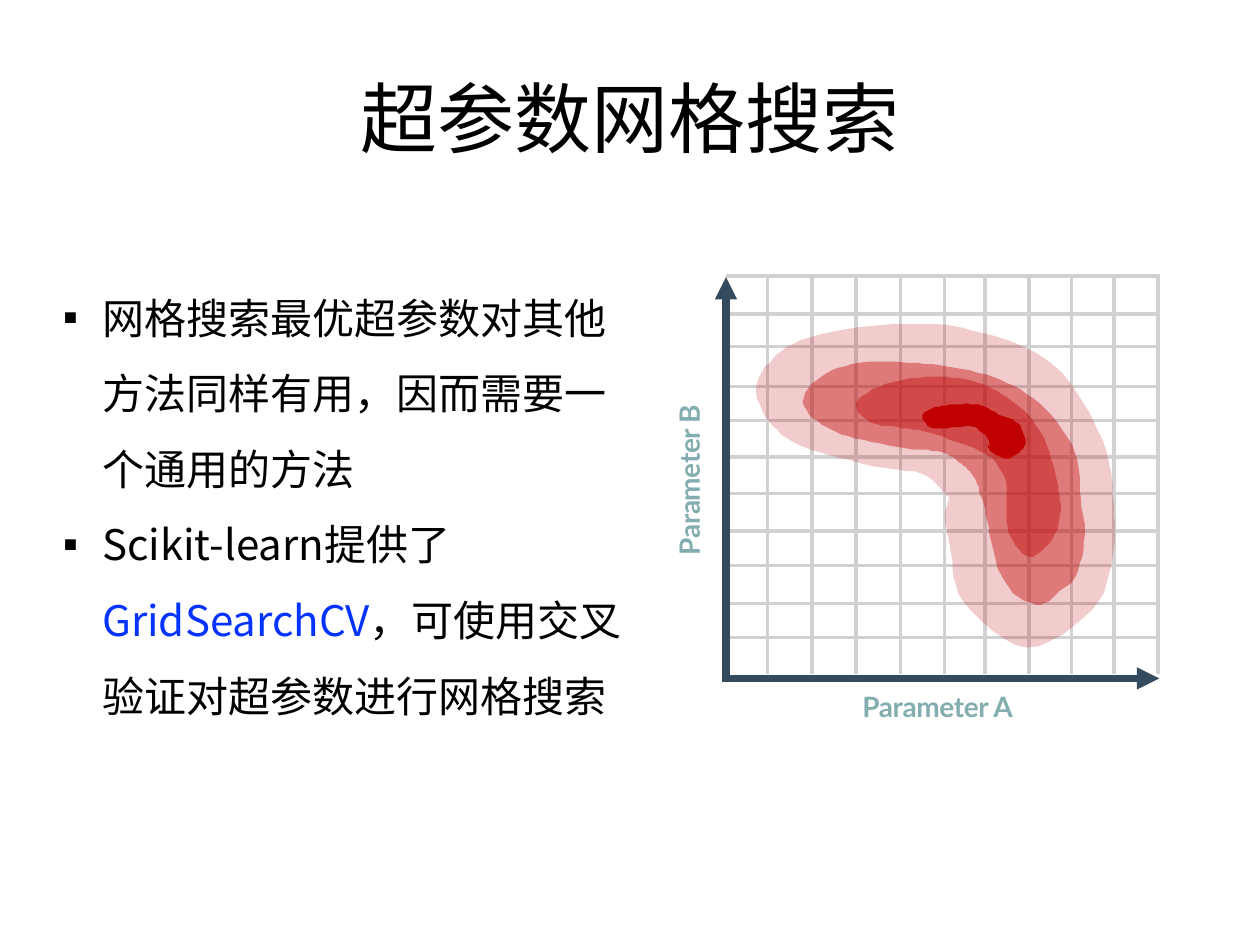
from math import hypot

from lxml.etree import SubElement
from pptx import Presentation
from pptx.dml.color import RGBColor
from pptx.enum.shapes import MSO_CONNECTOR
from pptx.enum.text import MSO_ANCHOR, PP_ALIGN
from pptx.oxml.ns import qn
from pptx.util import Pt

BLACK = RGBColor(0x00, 0x00, 0x00)
BLUE = RGBColor(0x04, 0x33, 0xFF)
TEAL = RGBColor(0x84, 0xAD, 0xAF)
NAVY = RGBColor(0x34, 0x4B, 0x5E)
GREY = RGBColor(0xD1, 0xD1, 0xD1)
RED = RGBColor(0xC0, 0x00, 0x00)

CJK = "Noto Sans CJK SC"
GRID_LEFT, GRID_TOP = 414.9, 157.7
X_AXIS_Y, X_AXIS_END = 387.7, 662.4
AXIS_WIDTH = 4.25
COL_WIDTHS = [23.8, 25.3, 25.3, 25.3, 25.3, 23, 25.3, 24.2, 24.2, 25.2]
ROW_HEIGHTS = [21.7, 18.7, 22.8, 19.5, 20.8, 20.8, 21.5, 19.7, 21.7, 19.6, 21]

CONTOUR_UNIT = Pt(0.72)
CURVE_STEPS = 6
BANDS = {
    "fair": (20, [(600, 308, 0), (612, 309, 25), (639, 311, 43), (696, 314, 56),
                  (747, 318, 60), (792, 340, 67), (814, 372, 65), (817, 405, 67),
                  (819, 441, 64), (816, 481, 51), (815, 514, 0)]),
    "good": (40, [(637, 319, 0), (652, 318, 19), (680, 318, 30), (724, 322, 34),
                  (756, 326, 34), (781, 336, 37), (801, 351, 39), (815, 373, 41),
                  (820, 402, 38), (824, 428, 37), (824, 456, 30), (823, 472, 16),
                  (826, 480, 0)]),
    "better": (40, [(679, 322, 0), (690, 323, 12), (711, 321, 18), (738, 321, 22),
                    (764, 326, 25), (787, 336, 24), (806, 352, 22), (817, 375, 20),
                    (820, 395, 21), (820, 411, 21), (818, 428, 16), (817, 442, 0)]),
    "best": (100, [(732, 331, 0), (740, 332, 8), (758, 330, 9), (774, 330, 9),
                   (787, 337, 10), (797, 345, 14), (799, 352, 15), (798, 359, 11),
                   (799, 364, 0)]),
}


def add_run(p, text, size=24, font=CJK, color=BLACK, bold=False, spacing=0):
    """Append a formatted run to a paragraph; spacing is in points."""
    r = p.add_run()
    r.text = text
    r.font.size, r.font.name, r.font.bold = Pt(size), font, bold
    r.font.color.rgb = color
    rPr = r.font._element
    if spacing:
        rPr.set("spc", str(int(spacing * 100)))
    SubElement(rPr, qn("a:ea"), typeface=font)


def add_box(s, x, y, w, h):
    """Add a wrapping text box without margins and return its frame."""
    tf = s.shapes.add_textbox(Pt(x), Pt(y), Pt(w), Pt(h)).text_frame
    tf.word_wrap = True
    tf.margin_left = tf.margin_right = tf.margin_top = tf.margin_bottom = 0
    return tf


def add_bullets(tf, items):
    """Fill a frame with square-bulleted paragraphs of (text, colour) runs."""
    for i, runs in enumerate(items):
        p = tf.add_paragraph() if i else tf.paragraphs[0]
        p.line_spacing = 1.5
        pPr = p._p.get_or_add_pPr()
        pPr.set("marL", str(Pt(23.8)))
        pPr.set("indent", str(-Pt(22.3)))
        SubElement(pPr, qn("a:buFont"), typeface="Calibri")
        SubElement(pPr, qn("a:buChar"), char="▪")
        for text, color in runs:
            add_run(p, text, color=color)


def add_axis_label(tf, name):
    """Write the name of one axis."""
    p = tf.paragraphs[0]
    p.space_before = Pt(0.9)
    add_run(p, f"Parameter {name}", size=16, font="Lato", color=TEAL, bold=True, spacing=-0.2)


def set_borders(cell, sides):
    """Draw grey borders on the given sides of a cell and none on the others."""
    tcPr = cell._tc.get_or_add_tcPr()
    for side in "LRTB":
        ln = SubElement(tcPr, qn(f"a:ln{side}"), w=str(Pt(2.25)))
        if side in sides:
            fill = SubElement(ln, qn("a:solidFill"))
            SubElement(fill, qn("a:srgbClr"), val=str(GREY))
        else:
            SubElement(ln, qn("a:noFill"))


def add_grid(s, x, y):
    """Add the search grid, open on the sides where the axes run."""
    rows, cols = len(ROW_HEIGHTS), len(COL_WIDTHS)
    table = s.shapes.add_table(
        rows, cols, Pt(x), Pt(y), Pt(sum(COL_WIDTHS)), Pt(sum(ROW_HEIGHTS))
    ).table
    table.first_row = table.horz_banding = False
    for col, width in zip(table.columns, COL_WIDTHS):
        col.width = Pt(width)
    for row, height in zip(table.rows, ROW_HEIGHTS):
        row.height = Pt(height)
    for i in range(rows):
        for j in range(cols):
            cell = table.cell(i, j)
            cell.margin_left = cell.margin_right = cell.margin_top = cell.margin_bottom = 0
            SubElement(cell.text_frame.paragraphs[0]._p, qn("a:endParaRPr"), sz="800")
            set_borders(cell, "RT" + "L" * (j > 0) + "B" * (i < rows - 1))
            cell.fill.background()


def add_axis(s, x1, y1, x2, y2):
    """Add an axis with an arrowhead at its end."""
    line = s.shapes.add_connector(MSO_CONNECTOR.STRAIGHT, Pt(x1), Pt(y1), Pt(x2), Pt(y2))
    line.line.color.rgb = NAVY
    line.line.width = Pt(AXIS_WIDTH)
    SubElement(line.line._get_or_add_ln(), qn("a:tailEnd"), type="triangle", w="med", len="med")
    SubElement(line._element.spPr, qn("a:effectLst"))


def band_outline(spine):
    """Return the corners of a band, given its (x, y, half-width) stations from tip to tip."""
    upper, lower = [], []
    for before, (x, y, half), after in zip(spine, spine[1:], spine[2:]):
        dx, dy = after[0] - before[0], after[1] - before[1]
        shift_x, shift_y = (half * d / hypot(dx, dy) for d in (dy, -dx))
        upper.append((x + shift_x, y + shift_y))
        lower.append((x - shift_x, y - shift_y))
    return [spine[0][:2], *upper, spine[-1][:2], *reversed(lower)]


def spline(a, b, c, d, t):
    """Return the Catmull-Rom value between b and c at t from 0 to 1."""
    return b + t / 2 * (c - a + t * (2*a - 5*b + 4*c - d + t * (3*b - 3*c + d - a)))


def smooth_loop(corners):
    """Return a closed smooth curve through the corners."""
    n = len(corners)
    curve = []
    for i in range(n):
        xs, ys = zip(*(corners[(i + k) % n] for k in (-1, 0, 1, 2)))
        for step in range(CURVE_STEPS):
            t = step / CURVE_STEPS
            curve.append((spline(*xs, t), spline(*ys, t)))
    return curve


def add_band(s, spine, opacity):
    """Add a smooth red band along a spine with an opacity in percent."""
    curve = smooth_loop(band_outline(spine))
    builder = s.shapes.build_freeform(*curve[0], scale=CONTOUR_UNIT)
    builder.add_line_segments(curve[1:], close=True)
    sp = builder.convert_to_shape()
    sp.shadow.inherit = False
    sp.line.fill.background()
    sp.fill.solid()
    sp.fill.fore_color.rgb = RED
    color = sp._element.spPr.find(qn("a:solidFill"))[0]
    SubElement(color, qn("a:alpha"), val=str(opacity * 1000))


def main():
    """Build the slide and save it."""
    prs = Presentation()
    prs.slide_width, prs.slide_height = Pt(720), Pt(540)
    s = prs.slides.add_slide(prs.slide_layouts[6])

    title = add_box(s, 36, 21.6, 648, 90)
    title.vertical_anchor = MSO_ANCHOR.MIDDLE
    title.paragraphs[0].alignment = PP_ALIGN.CENTER
    add_run(title.paragraphs[0], "超参数网格搜索", size=44, font="Calibri")

    add_bullets(add_box(s, 34.6, 152.6, 329, 258), [
        [("网格搜索最优超参数对其他方法同样有用，因而需要一个通用的方法", BLACK)],
        [("Scikit-learn提供了", BLACK), ("GridSearchCV", BLUE),
         ("，可使用交叉验证对超参数进行网格搜索", BLACK)],
    ])

    add_grid(s, GRID_LEFT, GRID_TOP)
    add_axis(s, GRID_LEFT, X_AXIS_Y + AXIS_WIDTH / 2, GRID_LEFT, GRID_TOP + 0.7)
    add_axis(s, GRID_LEFT, X_AXIS_Y, X_AXIS_END, X_AXIS_Y)
    for opacity, spine in BANDS.values():
        add_band(s, spine, opacity)

    add_axis_label(add_box(s, 492.8, 394.2, 93, 20.2), "A")
    vertical = add_box(s, 384, 225, 19.4, 92.2)
    vertical._txBody.bodyPr.set("vert", "vert270")
    add_axis_label(vertical, "B")

    prs.save("out.pptx")


if __name__ == "__main__":
    main()
